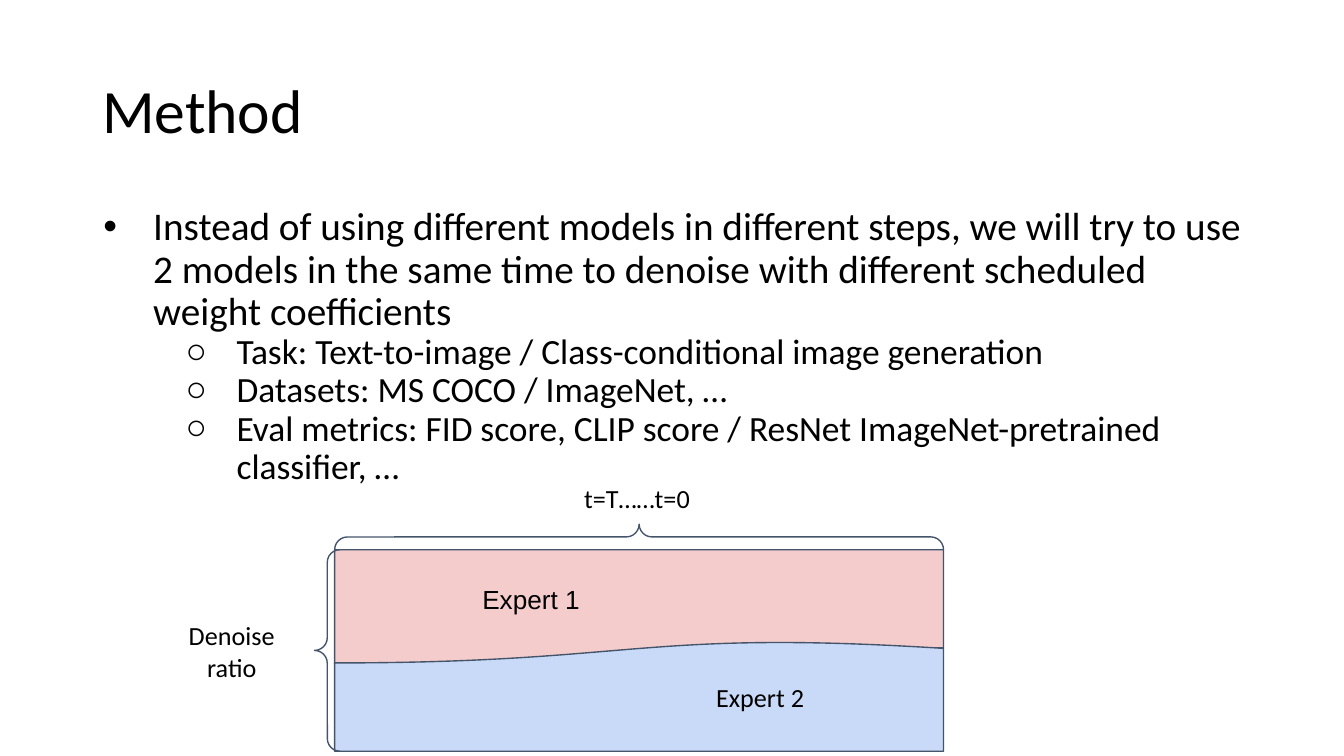
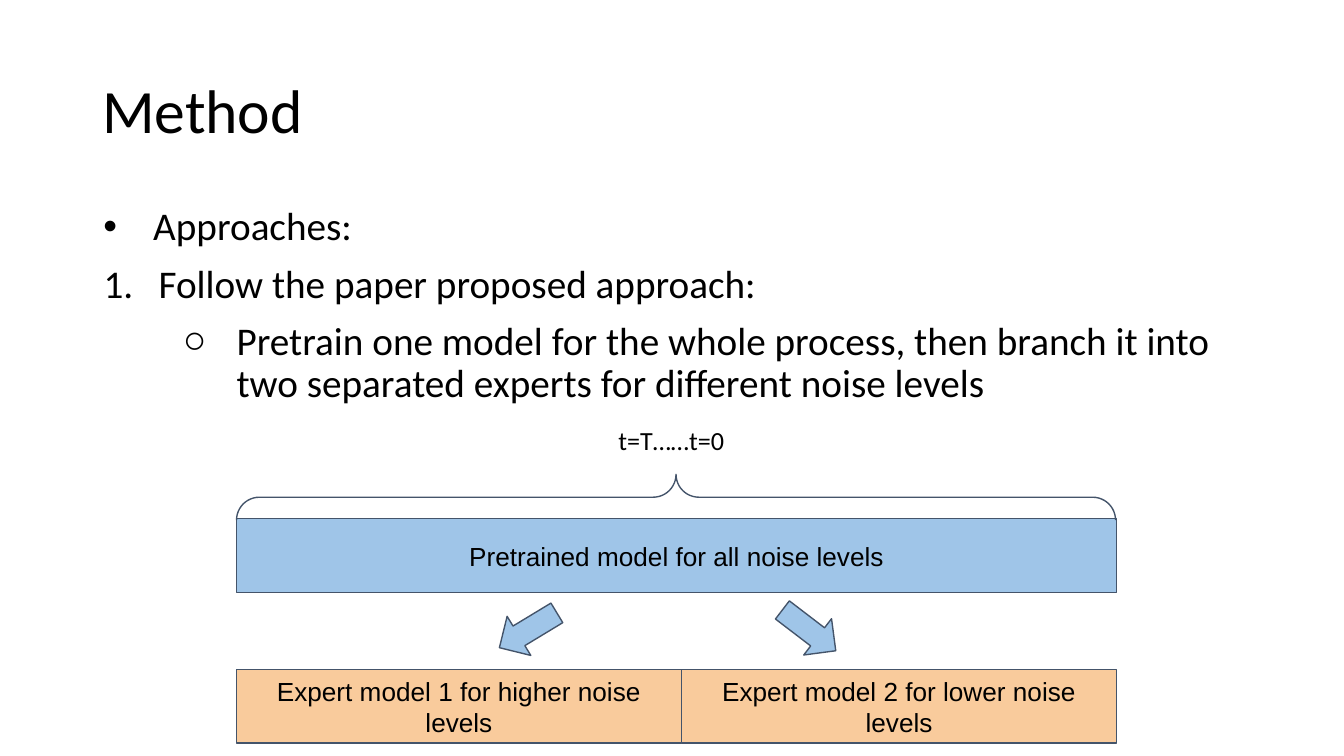
from dataclasses import dataclass

from lxml import etree
from pptx import Presentation
from pptx import util as u
from pptx.dml.color import RGBColor
from pptx.enum import shapes, text
from pptx.oxml import ns

GRID_COLUMNS = 100
GRID_ROWS = 56.25
CELL = u.Inches(10) / GRID_COLUMNS


@dataclass(frozen=True)
class Theme:
    ink: str = "000000"
    outline: str = "44546A"
    pink: str = "F4CCCC"
    pale_blue: str = "C9DAF8"
    blue: str = "9FC5E8"
    orange: str = "F9CB9C"
    text_font: str = "Calibri"
    shape_font: str = "Arial"
    title_size: float = 33
    body_size: float = 21
    detail_size: float = 19
    label_size: float = 14
    line_width: float = 0.75
    tight: float = 0.9


THEME = Theme()


@dataclass(frozen=True)
class Box:
    """An area measured in grid columns and rows."""
    col: float
    row: float
    cols: float
    rows: float

    def inner(self, col, row, cols, rows):
        return Box(self.col + col, self.row + row, cols, rows)

    def turned(self):
        """The same centre with width and height exchanged."""
        shift = (self.cols - self.rows) / 2
        return Box(self.col + shift, self.row - shift, self.rows, self.cols)

    def emu(self):
        return [round(n * CELL) for n in (self.col, self.row, self.cols, self.rows)]


TITLE_BOX = Box(6.9, 0.4, 86.2, 10.9)
BODY_BOX = Box(6.9, 15, 86.2, 35.7)

# Level, text indent and hanging indent in inches, and marker of each list style
BULLET = dict(level=0, indent=0.38, hang=-0.37, marker="•")
NUMBER = dict(level=0, indent=0.42, hang=-0.41, marker=None)
SUB_BULLET = dict(level=1, indent=1, hang=-0.38, marker="○")
WIDE_SUB_BULLET = SUB_BULLET | dict(hang=-0.4)


def apply(target, values):
    for name, value in values.items():
        setattr(target, name, value)


def set_indent(para, indent, hang=0):
    props = para._p.get_or_add_pPr()
    props.set("marL", str(u.Inches(indent)))
    props.set("indent", str(u.Inches(hang)))
    return props


def add_marker(para, style):
    """Give a paragraph its indents and its bullet or number."""
    props = set_indent(para, style["indent"], style["hang"])
    color = etree.SubElement(props, ns.qn("a:buClr"))
    etree.SubElement(color, ns.qn("a:srgbClr"), val=THEME.ink)
    if style["marker"]:
        etree.SubElement(props, ns.qn("a:buFont"), typeface=THEME.shape_font)
        etree.SubElement(props, ns.qn("a:buChar"), char=style["marker"])
    else:
        etree.SubElement(props, ns.qn("a:buAutoNum"), type="arabicPeriod")
    para.level = style["level"]


def set_frame(frame, inset, anchor):
    across, down = (u.Inches(n) for n in inset)
    apply(frame, dict(word_wrap=True, vertical_anchor=anchor,
                      margin_left=across, margin_right=across,
                      margin_top=down, margin_bottom=down))


def write(para, words, size, font, **layout):
    span = para.add_run()
    span.text = words
    apply(span.font, dict(size=u.Pt(size), name=font))
    span.font.color.rgb = RGBColor.from_string(THEME.ink)
    apply(para, layout)


def add_text_area(page, box, anchor):
    frame = page.shapes.add_textbox(*box.emu()).text_frame
    set_frame(frame, (0.07, 0.04), anchor)
    return frame


def add_title(page, box, words):
    frame = add_text_area(page, box, text.MSO_ANCHOR.BOTTOM)
    write(frame.paragraphs[0], words, THEME.title_size, THEME.text_font,
          line_spacing=THEME.tight)


def add_list(page, box, items, gap):
    """Items are (style, size, words); gap is the space before each later one."""
    frame = add_text_area(page, box, text.MSO_ANCHOR.TOP)
    for index, (style, size, words) in enumerate(items):
        para = frame.add_paragraph() if index else frame.paragraphs[0]
        add_marker(para, style)
        write(para, words, size, THEME.text_font, line_spacing=THEME.tight,
              space_before=u.Pt(gap if index else 0))


def add_label(page, box, words, align=text.PP_ALIGN.CENTER):
    frame = page.shapes.add_textbox(*box.emu()).text_frame
    set_frame(frame, (0.1, 0.1), text.MSO_ANCHOR.TOP)
    frame.auto_size = text.MSO_AUTO_SIZE.SHAPE_TO_FIT_TEXT
    write(frame.paragraphs[0], words, THEME.label_size, THEME.text_font,
          alignment=align)


def add_figure(page, kind, box, fill=None, rotation=0, adjust=()):
    figure = page.shapes.add_shape(kind, *box.emu())
    figure.shadow.inherit = False
    figure.rotation = rotation
    if fill:
        figure.fill.solid()
        figure.fill.fore_color.rgb = RGBColor.from_string(fill)
    else:
        figure.fill.background()
    figure.line.color.rgb = RGBColor.from_string(THEME.outline)
    figure.line.width = u.Pt(THEME.line_width)
    for index, value in enumerate(adjust):
        figure.adjustments[index] = value
    return figure


def caption(figure, words, align=text.PP_ALIGN.CENTER):
    """Write words inside a figure and return their paragraph."""
    set_frame(figure.text_frame, (0.1, 0.1), text.MSO_ANCHOR.MIDDLE)
    para = figure.text_frame.paragraphs[0]
    write(para, words, THEME.label_size, THEME.shape_font, alignment=align)
    return para


def add_brace(page, box, upright=True):
    add_figure(page, shapes.MSO_SHAPE.LEFT_BRACE, box if upright else box.turned(),
               rotation=0 if upright else 90, adjust=(0.5, 0.5))


def draw_mixed_experts(page, box):
    """Two experts sharing every step, in a changing ratio."""
    wave = shapes.MSO_SHAPE.FLOWCHART_DOCUMENT
    left = text.PP_ALIGN.LEFT
    stack = box.inner(13.3, 6, 45.3, 15)
    first = add_figure(page, wave, stack.inner(0, 0, stack.cols, 9.1), THEME.pink)
    set_indent(caption(first, "Expert 1", left), 1)
    add_figure(page, wave, stack.inner(0, 6.8, stack.cols, 8.2),
               THEME.pale_blue, rotation=180)
    add_label(page, stack.inner(27.4, 8.8, 12.9, 4.4), "Expert 2", left)
    add_brace(page, stack.inner(0, -1.9, stack.cols, 1.9), upright=False)
    add_label(page, box.inner(16.4, 0, 38.8, 4.4), "t=T……t=0")
    add_brace(page, stack.inner(-1.5, 0, 1.9, stack.rows))
    add_label(page, box.inner(0, 10.2, 11.3, 6.7), "Denoise ratio")


def draw_branched_experts(page, box):
    """One pretrained model split into two experts."""
    bar = shapes.MSO_SHAPE.RECTANGLE
    bar_rows = 5.5
    model = add_figure(page, bar, box.inner(0, 8, box.cols, bar_rows), THEME.blue)
    caption(model, "Pretrained model for all noise levels")
    for col, angle in ((19.2, 328.8), (40.1, 217.4)):
        add_figure(page, shapes.MSO_SHAPE.LEFT_ARROW, box.inner(col, 14.6, 5, 3.4),
                   THEME.blue, angle, adjust=(0.5, 0.5))
    split = 33.1
    experts = ((0, split, "Expert model 1 for higher noise levels"),
               (split, box.cols - split, "Expert model 2 for lower noise levels"))
    for col, cols, words in experts:
        expert = add_figure(page, bar, box.inner(col, box.rows - bar_rows, cols, bar_rows),
                            THEME.orange)
        caption(expert, words)
    add_brace(page, box.inner(0, 4.7, box.cols - 0.1, 3.4), upright=False)
    add_label(page, box.inner(4.4, 0, 55.9, 4.4), "t=T……t=0")


def add_method_page(deck, items, gap, draw, diagram_box):
    page = deck.slides.add_slide(deck.slide_layouts[6])
    add_title(page, TITLE_BOX, "Method")
    add_list(page, BODY_BOX, items, gap)
    draw(page, diagram_box)


def main():
    deck = Presentation()
    apply(deck, dict(slide_width=round(GRID_COLUMNS * CELL),
                     slide_height=round(GRID_ROWS * CELL)))
    body, detail = THEME.body_size, THEME.detail_size
    add_method_page(deck, [
        (BULLET, body, "Instead of using different models in different steps, we will "
                       "try to use 2 models in the same time to denoise with different "
                       "scheduled weight coefficients"),
        (SUB_BULLET, detail, "Task: Text-to-image / Class-conditional image generation"),
        (SUB_BULLET, detail, "Datasets: MS COCO / ImageNet, …"),
        (SUB_BULLET, detail, "Eval metrics: FID score, CLIP score / ResNet "
                             "ImageNet-pretrained classifier, …"),
    ], 0, draw_mixed_experts, Box(11.6, 34.9, 58.6, 21))
    add_method_page(deck, [
        (BULLET, body, "Approaches:"),
        (NUMBER, body, "Follow the paper proposed approach:"),
        (WIDE_SUB_BULLET, body, "Pretrain one model for the whole process, then branch "
                                "it into two separated experts for different noise levels"),
    ], 8, draw_branched_experts, Box(17.6, 30.6, 65.5, 24.7))
    deck.save("out.pptx")


if __name__ == "__main__":
    main()
